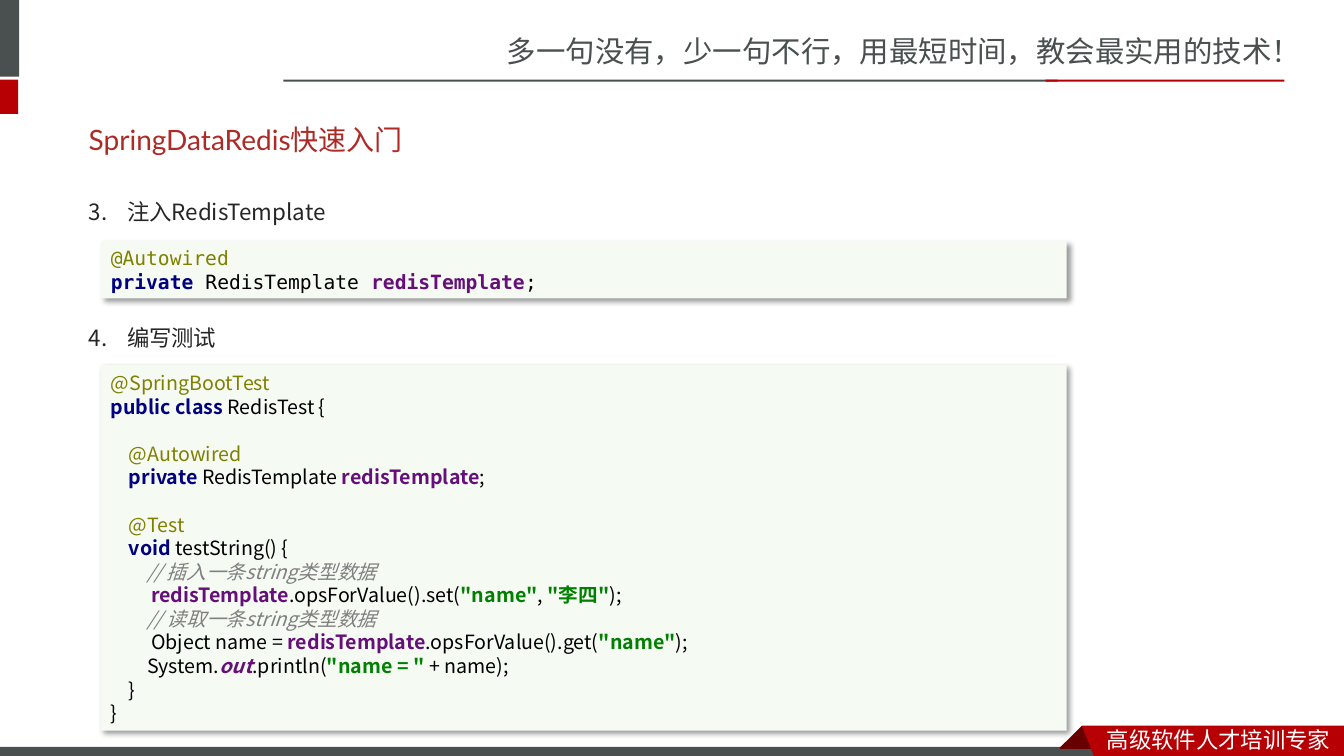
from lxml import etree
from pptx import Presentation
from pptx.dml.color import RGBColor
from pptx.enum.shapes import MSO_SHAPE as Shape
from pptx.enum.text import MSO_ANCHOR as Anchor, PP_ALIGN as Align
from pptx.oxml import parse_xml
from pptx.oxml.ns import nsdecls, qn
from pptx.util import Inches, Pt

SANS, MONO, LIST_FONT = "Noto Sans CJK SC", "DejaVu Sans Mono", "Noto Sans CJK JP"
GREY, RED, DARK_RED, CODE_FILL = "49504F", "B60004", "680000", "F5FAF3"
CODE_LINE = 16.85

BARS = [
    (0, 0, 0.19, 0.76, GREY), (0, 0.79, 0.18, 0.34, RED),
    (2.81, 0.79, 7.68, 0.02, GREY), (10.37, 0.79, 2.37, 0.02, RED),
    (0, 7.41, 10.95, 0.09, GREY),
]
RIBBON = [
    ([(10.73, 7.2), (10.95, 7.42), (10.94, 7.43), (10.52, 7.43), (10.51, 7.42)], DARK_RED),
    ([(10.73, 7.2), (13.33, 7.2), (13.33, 7.5), (10.85, 7.5)], RED),
]
LABELS = [
    ("多一句没有，少一句不行，用最短时间，教会最实用的技术！", 4.93, 0.28, 8.4, 0.47, 21, GREY),
    ("高级软件人才培训专家", 10.88, 7.15, 2.45, 0.37, 16, "FFFFFF"),
]
TITLE = "SpringDataRedis快速入门"
STEPS = [("注入RedisTemplate", 3), ("编写测试", 61.7)]

STYLES = {
    "plain": ("000000", False, False), "annotation": ("808000", False, False),
    "keyword": ("000080", True, False), "field": ("660E7A", True, False),
    "static": ("660E7A", True, True), "string": ("008000", True, False),
    "comment": ("808080", False, True),
}
AUTOWIRED = [("annotation", "@Autowired")]
DECLARATION = [("keyword", "private "), ("plain", "RedisTemplate "),
               ("field", "redisTemplate"), ("plain", ";")]
INJECT_CODE = [(0, 0, AUTOWIRED), (0, 0, DECLARATION)]
TEST_CODE = [
    (0, 0, [("annotation", "@SpringBootTest")]),
    (0, 0, [("keyword", "public class "), ("plain", "RedisTest {")]),
    (0.18, 1, AUTOWIRED),
    (0.18, 0, DECLARATION),
    (0.18, 1, [("annotation", "@Test")]),
    (0.18, 0, [("keyword", "void "), ("plain", "testString() {")]),
    (0.36, 0, [("comment", "// 插入一条string类型数据")]),
    (0.4, 0, [("field", "redisTemplate"), ("plain", ".opsForValue().set("),
              ("string", '"name"'), ("plain", ", "), ("string", '"李四"'), ("plain", ");")]),
    (0.36, 0, [("comment", "// 读取一条string类型数据")]),
    (0.4, 0, [("plain", "Object name = "), ("field", "redisTemplate"),
              ("plain", ".opsForValue().get("), ("string", '"name"'), ("plain", ");")]),
    (0.36, 0, [("plain", "System."), ("static", "out"), ("plain", ".println("),
               ("string", '"name = " '), ("plain", "+ name);")]),
    (0.18, 0, [("plain", "}")]),
    (0, 0, [("plain", "}")]),
]
CODE_BOXES = [(2.39, 0.57, MONO, INJECT_CODE), (3.62, 3.63, SANS, TEST_CODE)]


def rgb(value):
    """Turn a hex string into a colour."""
    return RGBColor.from_string(value)


def paint(shape, color):
    """Fill a shape flat, without outline or shadow."""
    shape.fill.solid()
    shape.fill.fore_color.rgb = rgb(color)
    shape.line.fill.background()
    shape.shadow.inherit = False


def place(shape, left, top, width, height):
    """Move and size a placeholder."""
    shape.left, shape.top = Inches(left), Inches(top)
    shape.width, shape.height = Inches(width), Inches(height)


def set_font(para, name, size, color=None):
    """Set the font of a whole paragraph, East Asian script included."""
    font = para.font
    font.name, font.size = name, Pt(size)
    if color:
        font.color.rgb = rgb(color)
    default = para._p.pPr.find(qn("a:defRPr"))
    default.find(qn("a:latin")).addnext(
        parse_xml(f'<a:ea {nsdecls("a")} typeface="{name}"/>'))


def indent(para, margin, first=0):
    """Set the left margin and first-line indent."""
    properties = para._p.get_or_add_pPr()
    properties.set("marL", str(Inches(margin)))
    properties.set("indent", str(Inches(first)))
    return properties


def add_paragraph(frame, index):
    """Return the first paragraph of a frame, or a new one."""
    return frame.add_paragraph() if index else frame.paragraphs[0]


def add_code(page, top, height, font_name, lines):
    """Draw a shadowed code box with coloured syntax."""
    box = page.shapes.add_shape(Shape.RECTANGLE, Inches(1), Inches(top),
                                Inches(9.58), Inches(height))
    paint(box, CODE_FILL)
    effects = box._element.spPr.find(qn("a:effectLst"))
    effects.append(parse_xml(
        f'<a:outerShdw {nsdecls("a")} blurRad="{Pt(4)}" dist="{Pt(3)}" dir="2700000" algn="tl">'
        '<a:srgbClr val="000000"><a:alpha val="40000"/></a:srgbClr></a:outerShdw>'))
    frame = box.text_frame
    frame.word_wrap, frame.vertical_anchor = True, Anchor.MIDDLE
    for index, (margin, gap_lines, spans) in enumerate(lines):
        para = add_paragraph(frame, index)
        para.alignment = Align.LEFT
        para.line_spacing = Pt(CODE_LINE)
        para.space_before = Pt(CODE_LINE * gap_lines)
        indent(para, margin)
        set_font(para, font_name, 14)
        for style, text in spans:
            color, bold, italic = STYLES[style]
            span = para.add_run()
            span.text = text
            span.font.color.rgb = rgb(color)
            span.font.bold, span.font.italic = bold, italic


deck = Presentation()
deck.slide_width, deck.slide_height = Inches(13.33), Inches(7.5)
page = deck.slides.add_slide(deck.slide_layouts[1])

for left, top, width, height, color in BARS:
    bar = page.shapes.add_shape(Shape.RECTANGLE, Inches(left), Inches(top),
                                Inches(width), Inches(height))
    paint(bar, color)
for points, color in RIBBON:
    corners = [(Inches(x), Inches(y)) for x, y in points]
    builder = page.shapes.build_freeform(*corners[0])
    builder.add_line_segments(corners[1:])
    paint(builder.convert_to_shape(), color)
for text, left, top, width, height, size, color in LABELS:
    label = page.shapes.add_textbox(Inches(left), Inches(top), Inches(width), Inches(height))
    label.text_frame.word_wrap = True
    label.text_frame.text = text
    set_font(label.text_frame.paragraphs[0], SANS, size, color)

title, body = page.placeholders
place(title, 0.78, 1.1, 11.7, 0.57)
title.text_frame.text = TITLE
title.text_frame.vertical_anchor = Anchor.MIDDLE
heading = title.text_frame.paragraphs[0]
heading.alignment = Align.LEFT
set_font(heading, "Lato", 20, "AD2A26")

place(body, 0.78, 1.78, 11.7, 4.22)
for index, (text, gap) in enumerate(STEPS):
    step = add_paragraph(body.text_frame, index)
    step.text = text
    step.line_spacing, step.space_before = 1.5, Pt(gap)
    set_font(step, LIST_FONT, 16, "262626")
    number = etree.Element(qn("a:buAutoNum"), type="arabicPeriod", startAt="3")
    indent(step, 0.38, -0.38).find(qn("a:defRPr")).addprevious(number)

for code_box in CODE_BOXES:
    add_code(page, *code_box)

deck.save("out.pptx")
